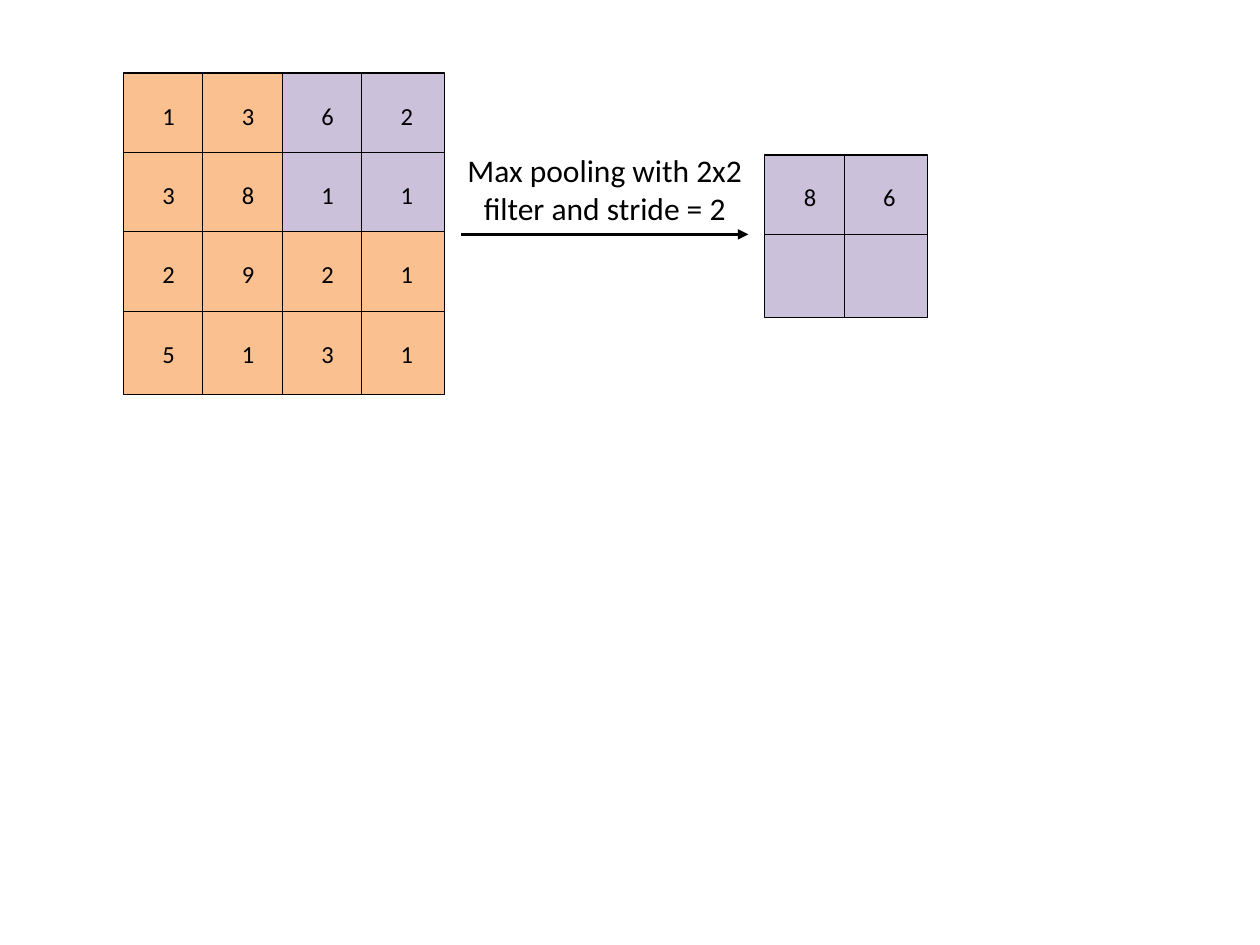
from lxml import etree
from pptx import Presentation
from pptx.dml.color import RGBColor
from pptx.enum.shapes import MSO_CONNECTOR, MSO_SHAPE
from pptx.enum.text import MSO_ANCHOR, MSO_AUTO_SIZE, PP_ALIGN
from pptx.oxml.ns import qn
from pptx.util import Inches, Pt

BLACK = RGBColor(0x00, 0x00, 0x00)
ORANGE = RGBColor(0xFA, 0xC0, 0x90)
PURPLE = RGBColor(0xCC, 0xC1, 0xDA)

CELL_SIZE = 0.66
CELL_STEP = 0.63

INPUT_VALUES = ["1362", "3811", "2921", "5131"]
INPUT_FILLS = [[ORANGE, ORANGE, PURPLE, PURPLE]] * 2 + [[ORANGE] * 4] * 2
OUTPUT_VALUES = ["86", ["", ""]]
OUTPUT_FILLS = [[PURPLE] * 2] * 2


def write_centered(shape, text, size):
    shape.text_frame.word_wrap = True
    paragraph = shape.text_frame.paragraphs[0]
    paragraph.text = text
    paragraph.alignment = PP_ALIGN.CENTER
    paragraph.font.name = "Calibri"
    paragraph.font.size = Pt(size)
    paragraph.font.color.rgb = BLACK


presentation = Presentation()
presentation.slide_width = Inches(10)
presentation.slide_height = Inches(7.5)
slide = presentation.slides.add_slide(presentation.slide_layouts[6])

# Input and pooled matrices
for left, top, values, fills in [
    (0.98, 0.58, INPUT_VALUES, INPUT_FILLS),
    (6.07, 1.23, OUTPUT_VALUES, OUTPUT_FILLS),
]:
    for row, (row_values, row_fills) in enumerate(zip(values, fills)):
        for column, (value, fill) in enumerate(zip(row_values, row_fills)):
            cell = slide.shapes.add_shape(
                MSO_SHAPE.RECTANGLE,
                Inches(left + column * CELL_STEP), Inches(top + row * CELL_STEP),
                Inches(CELL_SIZE), Inches(CELL_SIZE),
            )
            cell.shadow.inherit = False
            cell.fill.solid()
            cell.fill.fore_color.rgb = fill
            cell.line.color.rgb = BLACK
            cell.line.width = Pt(0)
            if value:
                frame = cell.text_frame
                frame.vertical_anchor = MSO_ANCHOR.MIDDLE
                frame.margin_left = frame.margin_right = Inches(0.31)
                frame.margin_top = Inches(0.06)
                frame.margin_bottom = Inches(0.05)
                write_centered(cell, value, 14)

# Pooling arrow and its label
arrow = slide.shapes.add_connector(
    MSO_CONNECTOR.STRAIGHT, Inches(3.66), Inches(1.86), Inches(5.94), Inches(1.86)
)
arrow.line.color.rgb = BLACK
arrow.line.width = Pt(2)
etree.SubElement(arrow.line._get_or_add_ln(), qn("a:tailEnd"), type="triangle")
etree.SubElement(arrow._element.spPr, qn("a:effectLst"))

label = slide.shapes.add_textbox(Inches(3.58), Inches(1.15), Inches(2.44), Inches(0.71))
label.text_frame.auto_size = MSO_AUTO_SIZE.SHAPE_TO_FIT_TEXT
write_centered(label, "Max pooling with 2x2 filter and stride = 2", 18)

presentation.save("out.pptx")
